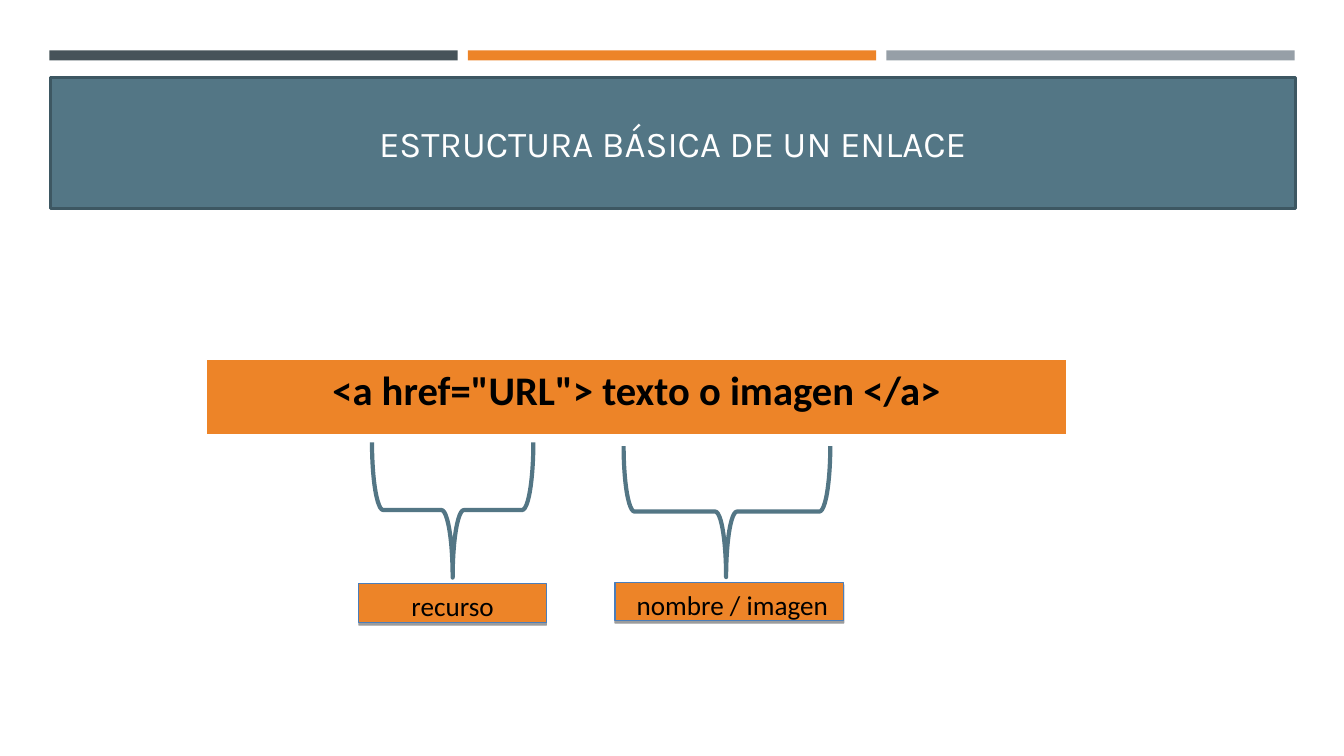
"""Build a slide that explains the basic parts of an HTML link."""
from dataclasses import dataclass
from typing import Optional

from lxml import etree
from pptx import Presentation
from pptx.dml.color import RGBColor
from pptx.enum.shapes import MSO_SHAPE
from pptx.enum.text import MSO_ANCHOR, PP_ALIGN
from pptx.oxml import parse_xml
from pptx.oxml.ns import nsdecls, qn
from pptx.util import Inches, Pt

RECT, BRACE = MSO_SHAPE.RECTANGLE, MSO_SHAPE.LEFT_BRACE
TOP, MIDDLE = MSO_ANCHOR.TOP, MSO_ANCHOR.MIDDLE
CENTER = PP_ALIGN.CENTER
ORANGE, TEAL, WHITE, BLACK = "ED8428", "537685", "FFFFFF", "000000"


@dataclass
class Box:
    """A filled rectangle with an optional border."""
    left: float
    top: float
    width: float
    height: float
    fill: str = ORANGE
    line: Optional[str] = None
    weight: float = 0


@dataclass
class Label:
    """Text and its style."""
    text: str
    size: float
    font: str = "Calibri"
    color: str = BLACK
    bold: bool = False
    anchor: MSO_ANCHOR = TOP


@dataclass
class Part:
    """A brace and the tag below it."""
    brace: Box
    peak: float
    tag: Box
    label: Label


def rgb(code: str) -> RGBColor:
    """Turn a hex string into a colour."""
    return RGBColor.from_string(code)


def draw(slide, box: Box, kind=RECT):
    """Draw a shape without a theme shadow."""
    shape = slide.shapes.add_shape(kind, Inches(box.left), Inches(box.top),
                                   Inches(box.width), Inches(box.height))
    shape.shadow.inherit = False
    if kind == RECT:
        shape.fill.solid()
        shape.fill.fore_color.rgb = rgb(box.fill)
    else:
        shape.fill.background()
    if box.line:
        shape.line.color.rgb = rgb(box.line)
        shape.line.width = Pt(box.weight)
    else:
        shape.line.fill.background()
    return shape


def write(shape, label: Label) -> None:
    """Put centred text into a shape."""
    frame = shape.text_frame
    frame.word_wrap = True
    frame.vertical_anchor = label.anchor
    frame.margin_left = frame.margin_right = Inches(0.12)
    frame.margin_top = frame.margin_bottom = Inches(0.06)
    para = frame.paragraphs[0]
    para.text = label.text
    para.alignment = CENTER
    para.font.name = label.font
    para.font.size = Pt(label.size)
    para.font.bold = label.bold
    para.font.color.rgb = rgb(label.color)


def shade(shape) -> None:
    """Add a thin hard shadow below a shape."""
    effect = shape.element.spPr.find(qn("a:effectLst"))
    shadow = parse_xml(f'<a:outerShdw {nsdecls("a")} blurRad="0" '
                       f'dist="{Pt(1.6)}" dir="5400000" rotWithShape="0"/>')
    color = etree.SubElement(shadow, qn("a:srgbClr"), val=BLACK)
    etree.SubElement(color, qn("a:alpha"), val="38000")
    effect.append(shadow)


def explain(slide, part: Part) -> None:
    """Draw a brace and its tag."""
    brace = draw(slide, part.brace, BRACE)
    brace.rotation = 270
    brace.adjustments[0] = 0.083
    brace.adjustments[1] = part.peak
    tag = draw(slide, part.tag)
    shade(tag)
    write(tag, part.label)


def curve(left: float, top: float, width: float, height: float) -> Box:
    """Describe a brace before its rotation."""
    return Box(left, top, width, height, line=TEAL, weight=3)


def plate(left: float, top: float, width: float, height: float) -> Box:
    """Describe a tag."""
    return Box(left, top, width, height, line="4A7EBB", weight=0.74)


BARS = ["465359", ORANGE, "969FA7"]
TITLE = Label("ESTRUCTURA BÁSICA DE UN ENLACE", 26, "Karla", WHITE, anchor=MIDDLE)
CODE = Label('<a href="URL"> texto o imagen </a>', 29, bold=True)
PARTS = [
    Part(curve(3.82, 4.26, 1.34, 1.6), 0.5,
         plate(3.56, 5.79, 1.86, 0.39), Label("recurso", 19.4)),
    Part(curve(6.56, 4.05, 1.3, 2.05), 0.496,
         plate(6.1, 5.78, 2.27, 0.38), Label(" nombre / imagen", 19.4)),
]


def main() -> None:
    """Build and save the slide."""
    deck = Presentation()
    deck.slide_width, deck.slide_height = Inches(13.33), Inches(7.5)
    slide = deck.slides.add_slide(deck.slide_layouts[6])
    for index, color in enumerate(BARS):
        draw(slide, Box(0.49 + 4.15 * index, 0.5, 4.05, 0.1, color))
    write(draw(slide, Box(0.5, 0.77, 12.35, 1.3, TEAL, "3D5762", 1.75)), TITLE)
    write(draw(slide, Box(2.04, 3.56, 8.55, 0.76, line=WHITE, weight=2)), CODE)
    for part in PARTS:
        explain(slide, part)
    deck.save("out.pptx")


main()
